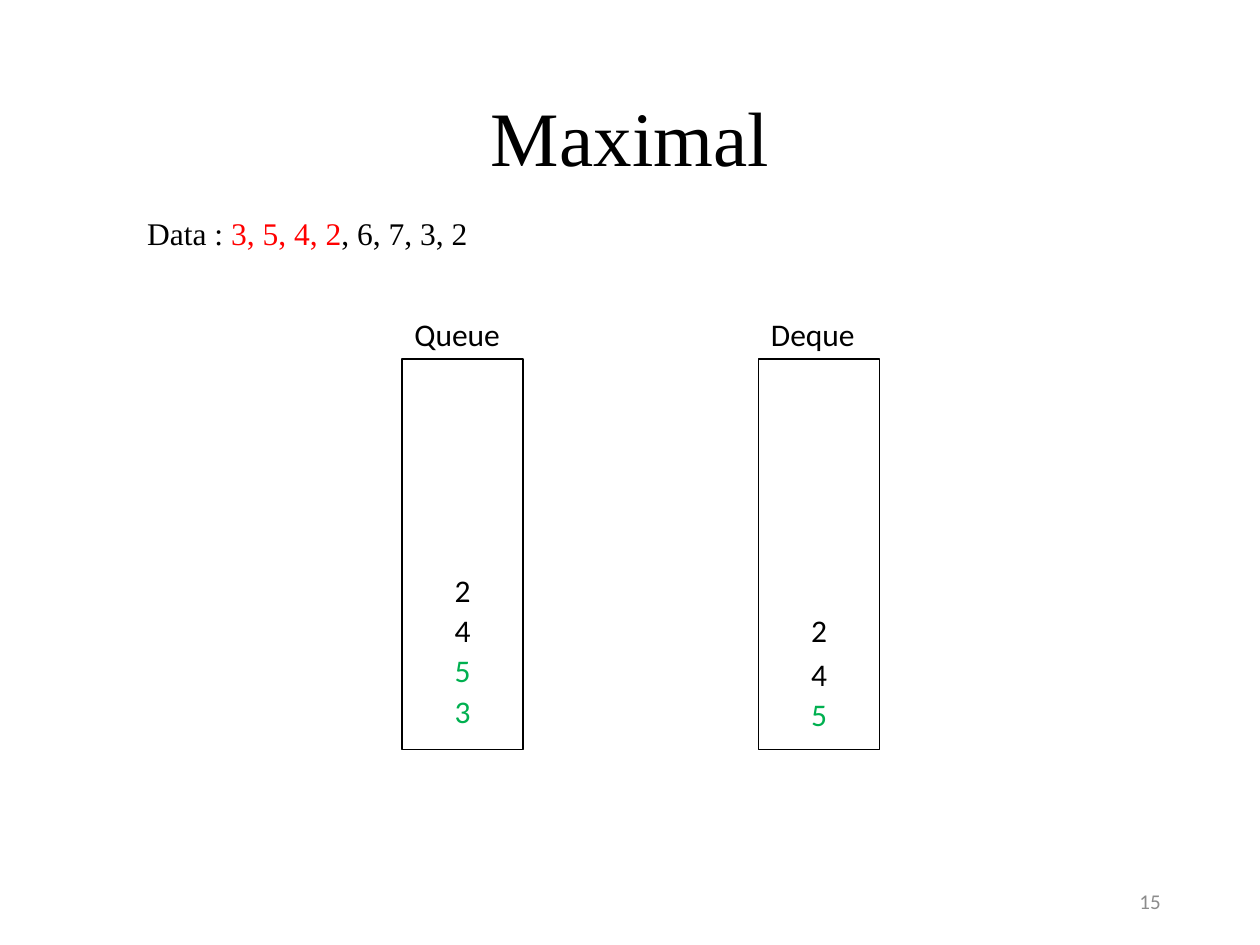
from dataclasses import dataclass

from pptx import Presentation
from pptx import util as u
from pptx.dml.color import RGBColor
from pptx.enum import shapes, text


@dataclass(frozen=True)
class Theme:
    black: RGBColor = RGBColor(0, 0, 0)
    red: RGBColor = RGBColor(255, 0, 0)
    green: RGBColor = RGBColor(0, 176, 80)
    gray: RGBColor = RGBColor(140, 140, 140)
    serif: str = "Times New Roman"
    sans: str = "Calibri"
    title_size: int = 44
    body_size: int = 18
    number_size: int = 12


@dataclass(frozen=True)
class Box:
    left: float
    top: float
    width: float
    height: float = 0.4


@dataclass(frozen=True)
class Entry:
    value: str
    top: float
    color: RGBColor


@dataclass(frozen=True)
class Container:
    name: str
    left: float
    label_width: float
    entries: tuple[Entry, ...]


THEME = Theme()
FRAME_TOP, FRAME_WIDTH, FRAME_HEIGHT = 2.85, 0.96, 3.1
LABEL_HEIGHT = 0.4
ENTRY_INDENT, ENTRY_WIDTH = 0.32, 0.33
QUEUE_BOTTOM, QUEUE_STEP = 5.44, 0.32

QUEUE_VALUES = (("3", THEME.green), ("5", THEME.green), ("4", THEME.black), ("2", THEME.black))
CONTAINERS = (
    Container("Queue", 3.19, 0.89, tuple(
        Entry(value, QUEUE_BOTTOM - index * QUEUE_STEP, color)
        for index, (value, color) in enumerate(QUEUE_VALUES))),
    Container("Deque", 6.02, 0.88, (
        Entry("5", 5.47, THEME.green),
        Entry("4", 5.15, THEME.black),
        Entry("2", 4.8, THEME.black))),
)


def add_text(slide, box: Box, parts: tuple[tuple[str, RGBColor], ...],
             font: str = THEME.sans, size: int = THEME.body_size,
             align=text.PP_ALIGN.LEFT, anchor=text.MSO_ANCHOR.TOP,
             wrap: bool = False, line_spacing: float = 1.0) -> None:
    shape = slide.shapes.add_textbox(
        u.Inches(box.left), u.Inches(box.top), u.Inches(box.width), u.Inches(box.height))
    frame = shape.text_frame
    frame.word_wrap = wrap
    frame.vertical_anchor = anchor
    paragraph = frame.paragraphs[0]
    paragraph.alignment = align
    paragraph.line_spacing = line_spacing
    for words, color in parts:
        run = paragraph.add_run()
        run.text = words
        run.font.name = font
        run.font.size = u.Pt(size)
        run.font.color.rgb = color


def add_container(slide, container: Container) -> None:
    frame = slide.shapes.add_shape(
        shapes.MSO_SHAPE.RECTANGLE, u.Inches(container.left), u.Inches(FRAME_TOP),
        u.Inches(FRAME_WIDTH), u.Inches(FRAME_HEIGHT))
    frame.shadow.inherit = False
    frame.fill.background()
    frame.line.color.rgb = THEME.black
    frame.line.width = u.Pt(1)
    label = Box(container.left, FRAME_TOP - LABEL_HEIGHT, container.label_width)
    add_text(slide, label, ((container.name, THEME.black),))
    for entry in container.entries:
        box = Box(container.left + ENTRY_INDENT, entry.top, ENTRY_WIDTH)
        add_text(slide, box, ((entry.value, entry.color),))


def main() -> None:
    presentation = Presentation()
    presentation.slide_width = u.Inches(10)
    presentation.slide_height = u.Inches(7.5)
    slide = presentation.slides.add_slide(presentation.slide_layouts[6])

    add_text(slide, Box(0.69, 0.4, 8.62, 1.45), (("Maximal", THEME.black),),
             THEME.serif, THEME.title_size, text.PP_ALIGN.CENTER,
             text.MSO_ANCHOR.MIDDLE, wrap=True, line_spacing=0.9)
    add_text(slide, Box(1.07, 1.65, 2.77),
             (("Data : ", THEME.black), ("3, 5, 4, 2", THEME.red), (", 6, 7, 3, 2", THEME.black)),
             THEME.serif)
    for container in CONTAINERS:
        add_container(slide, container)
    add_text(slide, Box(7.06, 6.95, 2.25), (("15", THEME.gray),),
             size=THEME.number_size, align=text.PP_ALIGN.RIGHT,
             anchor=text.MSO_ANCHOR.MIDDLE, wrap=True)

    presentation.save("out.pptx")


if __name__ == "__main__":
    main()
